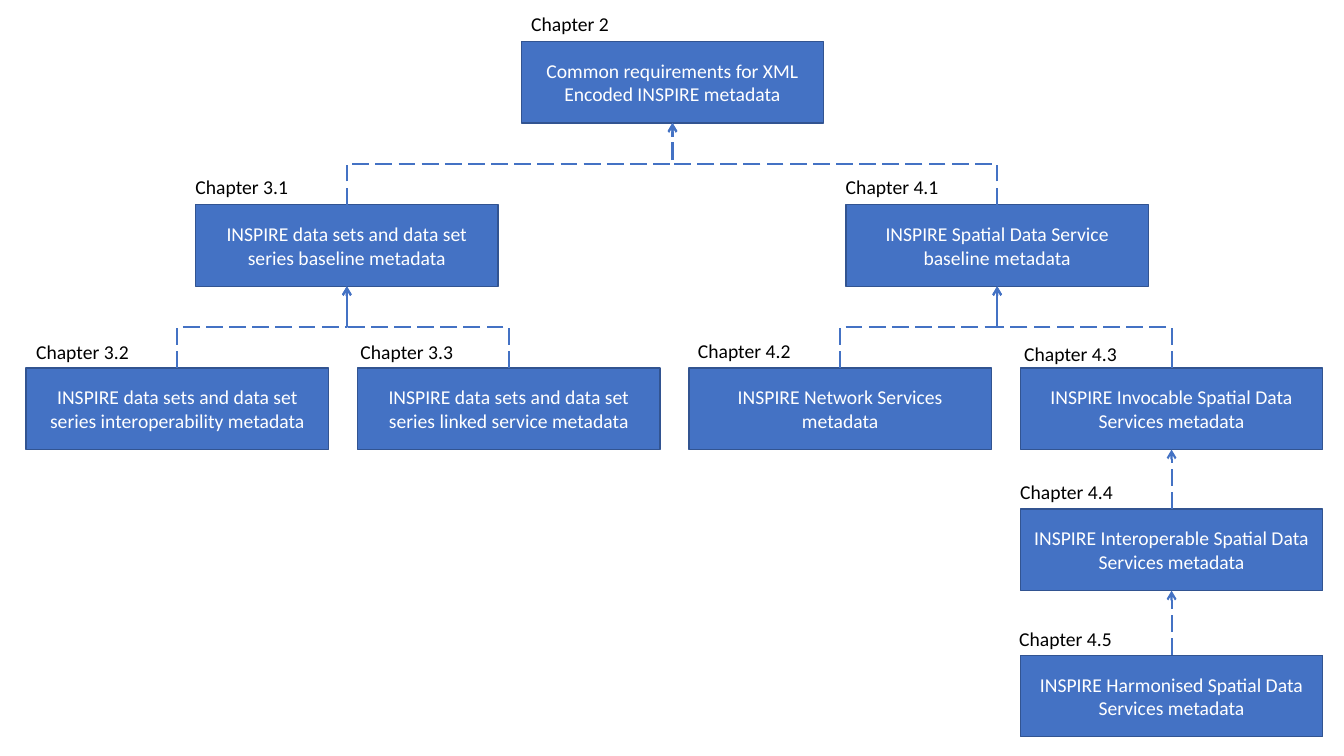
from dataclasses import dataclass

from lxml.etree import SubElement
from pptx import Presentation
from pptx.dml.color import RGBColor
from pptx.enum.dml import MSO_LINE
from pptx.enum.shapes import MSO_CONNECTOR, MSO_SHAPE
from pptx.enum.text import MSO_ANCHOR, PP_ALIGN
from pptx.oxml.ns import qn
from pptx.util import Inches, Pt


@dataclass(frozen=True)
class Theme:
    fill: RGBColor = RGBColor(0x44, 0x72, 0xC4)
    edge: RGBColor = RGBColor(0x32, 0x54, 0x91)
    light: RGBColor = RGBColor(0xFF, 0xFF, 0xFF)
    dark: RGBColor = RGBColor(0, 0, 0)
    font: str = "Calibri"
    size: Pt = Pt(14)
    border: Pt = Pt(1)
    link: Pt = Pt(1.5)


THEME = Theme()
BOX_W, BOX_H = 3, 0.81
TAG_W, TAG_H = 1.23, 0.34
ROWS = (0.41, 2.03, 3.65, 5.05, 6.5)
FIRST, LAST = 0.26, 10.12
LEAVES = [FIRST + i * (LAST - FIRST) / 3 for i in range(4)]

# chapter, parent, left, row, tag shift across, tag height above box, text
NODES = (
    ("2", None, 5.17, 0, 0, 0.34,
     "Common requirements for XML Encoded INSPIRE metadata"),
    ("3.1", "2", 1.94, 1, -0.1, 0.34,
     "INSPIRE data sets and data set series baseline metadata"),
    ("4.1", "2", 8.39, 1, -0.1, 0.34,
     "INSPIRE Spatial Data Service baseline metadata"),
    ("3.2", "3.1", LEAVES[0], 2, 0, 0.33,
     "INSPIRE data sets and data set series interoperability metadata"),
    ("3.3", "3.1", LEAVES[1], 2, -0.07, 0.33,
     "INSPIRE data sets and data set series linked service metadata"),
    ("4.2", "4.1", LEAVES[2], 2, -0.01, 0.34,
     "INSPIRE Network Services metadata"),
    ("4.3", "4.1", LEAVES[3], 2, -0.06, 0.31,
     "INSPIRE Invocable Spatial Data Services metadata"),
    ("4.4", "4.3", LAST, 3, -0.1, 0.34,
     "INSPIRE Interoperable Spatial Data Services metadata"),
    ("4.5", "4.4", LAST, 4, -0.11, 0.33,
     "INSPIRE Harmonised Spatial Data Services metadata"),
)


def write(frame, text, color, align):
    frame.word_wrap = True
    para = frame.paragraphs[0]
    para.alignment = align
    run = para.add_run()
    run.text = text
    run.font.name = THEME.font
    run.font.size = THEME.size
    run.font.color.rgb = color


def add_box(slide, left, top, text):
    box = slide.shapes.add_shape(
        MSO_SHAPE.RECTANGLE,
        Inches(left), Inches(top), Inches(BOX_W), Inches(BOX_H))
    box.shadow.inherit = False
    box.fill.solid()
    box.fill.fore_color.rgb = THEME.fill
    box.line.color.rgb = THEME.edge
    box.line.width = THEME.border
    box.text_frame.vertical_anchor = MSO_ANCHOR.MIDDLE
    write(box.text_frame, text, THEME.light, PP_ALIGN.CENTER)
    return box


def add_tag(slide, left, top, text):
    tag = slide.shapes.add_textbox(
        Inches(left), Inches(top), Inches(TAG_W), Inches(TAG_H))
    write(tag.text_frame, text, THEME.dark, PP_ALIGN.LEFT)


def turn(link, start, end):
    """Lay an elbow on its side, so that it leaves and arrives upright."""
    wide, high = abs(end[0] - start[0]), abs(end[1] - start[1])
    link.left = (start[0] + end[0] - high) // 2
    link.top = (start[1] + end[1] - wide) // 2
    link.width, link.height = high, wide
    frame = link.element.spPr.find(qn("a:xfrm"))
    frame.set("rot", str(270 * 60000))
    frame.set("flipH", "0")
    frame.set("flipV", "1" if start[0] > end[0] else "0")


def add_link(slide, child, parent):
    start = child.left + child.width // 2, child.top
    end = parent.left + parent.width // 2, parent.top + parent.height
    bent = start[0] != end[0]
    kind = MSO_CONNECTOR.ELBOW if bent else MSO_CONNECTOR.STRAIGHT
    link = slide.shapes.add_connector(kind, *start, *end)
    link.begin_connect(child, 0)
    link.end_connect(parent, 2)
    if bent:
        turn(link, start, end)
    link.line.color.rgb = THEME.fill
    link.line.width = THEME.link
    link.line.dash_style = MSO_LINE.LONG_DASH
    props = link.element.spPr
    SubElement(props.find(qn("a:ln")), qn("a:tailEnd"), type="arrow")
    SubElement(props, qn("a:effectLst"))


def main():
    deck = Presentation()
    deck.slide_width, deck.slide_height = Inches(13.33), Inches(7.5)
    slide = deck.slides.add_slide(deck.slide_layouts[6])
    boxes = {}
    for name, parent, left, row, shift, rise, text in NODES:
        top = ROWS[row]
        boxes[name] = add_box(slide, left, top, text)
        add_tag(slide, left + shift, top - rise, f"Chapter {name}")
        if parent:
            add_link(slide, boxes[name], boxes[parent])
    deck.save("out.pptx")


if __name__ == "__main__":
    main()
